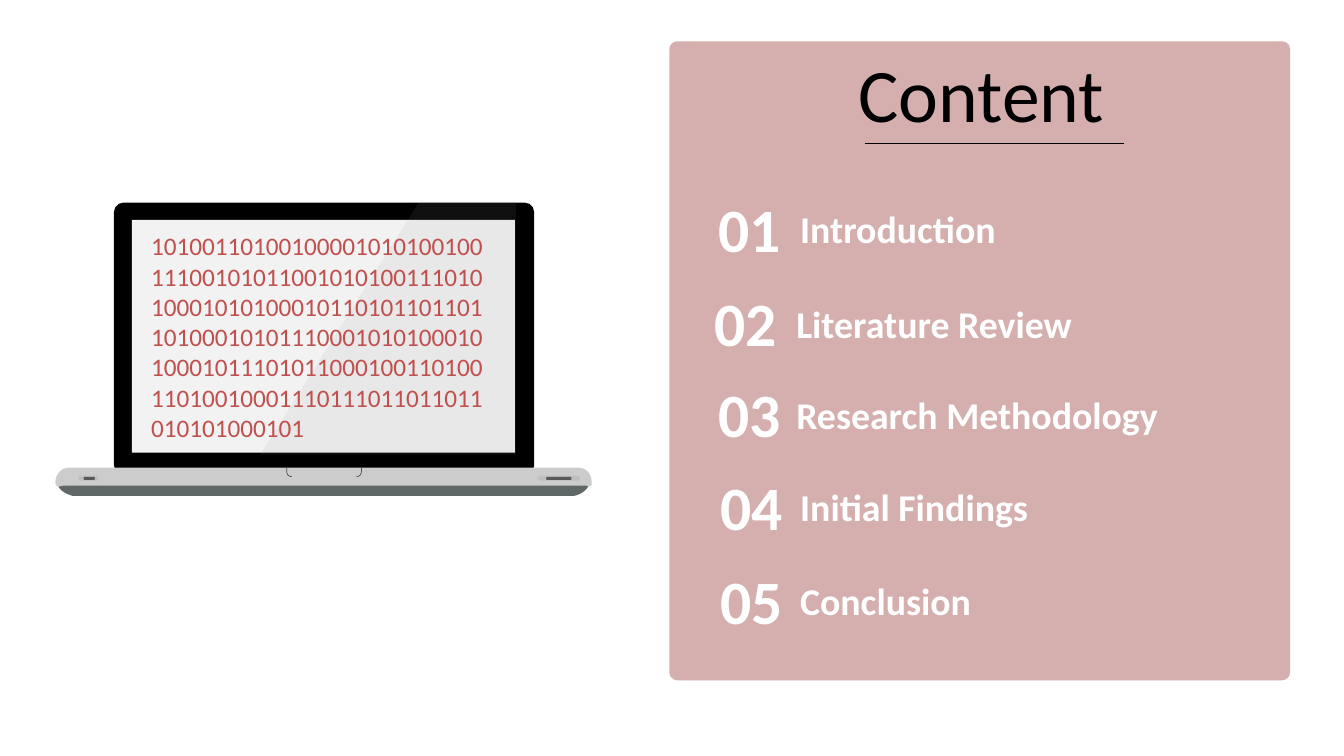
from dataclasses import dataclass

from lxml import etree
from pptx import Presentation
from pptx import util as u
from pptx.dml.color import RGBColor
from pptx.enum import shapes, text
from pptx.oxml import ns

COLORS = {
    "panel": "953735", "white": "FFFFFF", "black": "000000", "digits": "C0504D",
    "underside": "5F6767", "base": "CCCCCC", "screen": "F2F2F2", "notch": "4D4D4D",
    "port": "BFBFBF", "slot": "595959", "glare": "999999",
}
FONT = "Calibri"
BINARY = (
    "10100110100100001010100100" "11100101011001010100111010"
    "10001010100010110101101101" "10100010101110001010100010"
    "10001011101011000100110100" "11010010001110111011011011"
    "010101000101"
)
CURVE_STEPS = 12
LABEL_DROP = 10.8  # from the top of a number to the top of its label


@dataclass(frozen=True)
class AgendaItem:
    number: str
    label: str
    number_left: float
    label_left: float
    top: float


@dataclass(frozen=True)
class Block:
    """A preset shape with a plain fill."""
    left: float
    top: float
    width: float
    height: float
    color: str
    corner: float | None = None  # None makes a square-cornered block
    alpha: int = 100


@dataclass(frozen=True)
class TextStyle:
    size: float
    color: str
    bold: bool = False
    align: text.PP_ALIGN = text.PP_ALIGN.LEFT
    anchor: text.MSO_ANCHOR = text.MSO_ANCHOR.TOP
    inset: float = 7.2


AGENDA = [
    AgendaItem("01", "Introduction", 496.8, 563, 132.5),
    AgendaItem("02", "Literature Review", 493.9, 560.2, 200.2),
    AgendaItem("03", "Research Methodology", 496.8, 560.2, 265.3),
    AgendaItem("04", "Initial Findings", 498.2, 563, 331.2),
    AgendaItem("05", "Conclusion", 498.2, 563, 398.5),
]
PANEL = Block(478.1, 29.5, 443.5, 456.5, "panel", 0.013, 40)
LID = [
    Block(81.4, 144.7, 300.2, 194.4, "black", 0.035),
    Block(94.3, 157, 273.6, 166.3, "screen"),
]
PORTS = [
    Block(56.2, 339.8, 13.7, 3.6, "port", 0.282),
    Block(59.8, 340.6, 7.9, 2.2, "slot", 0.282),
    Block(384.5, 339.8, 29.5, 3.6, "port", 0.282),
    Block(390.2, 340.6, 18, 2.2, "slot", 0.282),
]

# An outline is a list of steps: (x, y) is a line, six numbers are a cubic curve.
Step = tuple[float, ...]
UNDERSIDE: list[Step] = [
    (409.7, 354.2), (409.7, 354.2, 416.9, 353.5, 420.5, 347),
    (420.5, 344.9, 419, 343.4, 416.9, 343.4), (45.4, 344.9),
    (43.9, 344.9, 41.8, 346.3, 41.8, 347.8), (44.6, 352.1, 49.7, 353.5, 51.8, 354.2),
]
BASE: list[Step] = [
    (49.7, 334.1), (413.3, 334.1), (418.3, 334.1, 422.6, 338.4, 422.6, 344.2),
    (422.6, 345.6), (422.6, 345.6, 423.4, 347.8, 419, 347), (44.6, 347),
    (41.8, 347.8, 40.3, 347.8, 39.6, 345.6), (39.6, 343.4),
    (40.3, 338.4, 43.9, 334.1, 49.7, 334.1),
]
GLARE: list[Step] = [(299.5, 144), (368.6, 144), (368.6, 324.7), (185.8, 324.7)]
NOTCH_CENTER, NOTCH_HALF = 231.5, 26.7


def rgb(name: str) -> RGBColor:
    return RGBColor.from_string(COLORS[name])


def paint(shape, color: str, alpha: int = 100) -> None:
    shape.shadow.inherit = False
    shape.line.fill.background()
    shape.fill.solid()
    shape.fill.fore_color.rgb = rgb(color)
    if alpha < 100:
        hue = shape.fill._xPr.find(".//" + ns.qn("a:srgbClr"))
        etree.SubElement(hue, ns.qn("a:alpha")).set("val", str(alpha * 1000))


def add_block(slide, block: Block) -> None:
    rounded = block.corner is not None
    preset = shapes.MSO_SHAPE.ROUNDED_RECTANGLE if rounded else shapes.MSO_SHAPE.RECTANGLE
    shape = slide.shapes.add_shape(
        preset, u.Pt(block.left), u.Pt(block.top), u.Pt(block.width), u.Pt(block.height))
    if rounded:
        shape.adjustments[0] = block.corner
    paint(shape, block.color, block.alpha)


def flatten(steps: list[Step]) -> list[tuple[float, float]]:
    """Turn lines and cubic curves into a row of points."""
    points = [(steps[0][0], steps[0][1])]
    for step in steps[1:]:
        if len(step) == 2:
            points.append((step[0], step[1]))
            continue
        (x0, y0), (x1, y1, x2, y2, x3, y3) = points[-1], step
        for i in range(1, CURVE_STEPS + 1):
            t = i / CURVE_STEPS
            a, b, c, d = (1 - t) ** 3, 3 * t * (1 - t) ** 2, 3 * t * t * (1 - t), t ** 3
            points.append((a * x0 + b * x1 + c * x2 + d * x3,
                           a * y0 + b * y1 + c * y2 + d * y3))
    return points


def add_outline(slide, steps: list[Step], close: bool = True):
    first, *rest = [(u.Pt(x), u.Pt(y)) for x, y in flatten(steps)]
    builder = slide.shapes.build_freeform(*first)
    builder.add_line_segments(rest, close=close)
    return builder.convert_to_shape()


def add_notch_edge(slide, side: int) -> None:
    """Draw one edge of the lid notch; side is -1 for left and 1 for right."""
    outer = NOTCH_CENTER + side * NOTCH_HALF
    inner = outer - side * 3.6
    edge = add_outline(
        slide, [(outer, 334.1), (outer, 338.4, outer, 339.8, inner, 340.6)], close=False)
    edge.shadow.inherit = False
    edge.fill.background()
    edge.line.color.rgb = rgb("notch")
    edge.line.width = u.Pt(0.5)


def add_text(slide, words: str, left: float, top: float, width: float, height: float,
             style: TextStyle) -> None:
    box = slide.shapes.add_textbox(u.Pt(left), u.Pt(top), u.Pt(width), u.Pt(height))
    frame = box.text_frame
    frame.word_wrap = True
    frame.auto_size = text.MSO_AUTO_SIZE.SHAPE_TO_FIT_TEXT
    frame.vertical_anchor = style.anchor
    frame.margin_left = frame.margin_right = u.Pt(style.inset)
    paragraph = frame.paragraphs[0]
    paragraph.alignment = style.align
    run = paragraph.add_run()
    run.text = words
    run.font.name = FONT
    run.font.size = u.Pt(style.size)
    run.font.bold = style.bold
    run.font.color.rgb = rgb(style.color)


def add_title(slide) -> None:
    add_text(slide, "Content", 606.2, 29.5, 300, 72.7,
             TextStyle(54, "black", anchor=text.MSO_ANCHOR.MIDDLE))
    rule = slide.shapes.add_connector(
        shapes.MSO_CONNECTOR.STRAIGHT, u.Pt(617.8), u.Pt(102.2), u.Pt(802.8), u.Pt(102.2))
    rule.line.color.rgb = rgb("black")
    rule.line.width = u.Pt(0.75)
    etree.SubElement(rule._element.spPr, ns.qn("a:effectLst"))


def add_agenda(slide) -> None:
    number_style = TextStyle(44, "white", True, text.PP_ALIGN.CENTER, inset=8.6)
    label_style = TextStyle(27, "white", True, inset=8.6)
    for item in AGENDA:
        add_text(slide, item.number, item.number_left, item.top, 77, 61.2, number_style)
        add_text(slide, item.label, item.label_left, item.top + LABEL_DROP, 367.2, 40.3,
                 label_style)


def add_laptop(slide) -> None:
    paint(add_outline(slide, UNDERSIDE), "underside")
    for block in LID:
        add_block(slide, block)
    paint(add_outline(slide, BASE), "base")
    for side in (-1, 1):
        add_notch_edge(slide, side)
    for port in PORTS:
        add_block(slide, port)
    paint(add_outline(slide, GLARE), "glare", 10)
    add_text(slide, BINARY, 100.8, 161.3, 257.8, 159.8,
             TextStyle(18, "digits", align=text.PP_ALIGN.JUSTIFY))


def main() -> None:
    deck = Presentation()
    deck.slide_width, deck.slide_height = u.Pt(960), u.Pt(540)
    slide = deck.slides.add_slide(deck.slide_layouts[6])
    add_block(slide, PANEL)
    add_title(slide)
    add_agenda(slide)
    add_laptop(slide)
    deck.save("out.pptx")


if __name__ == "__main__":
    main()
